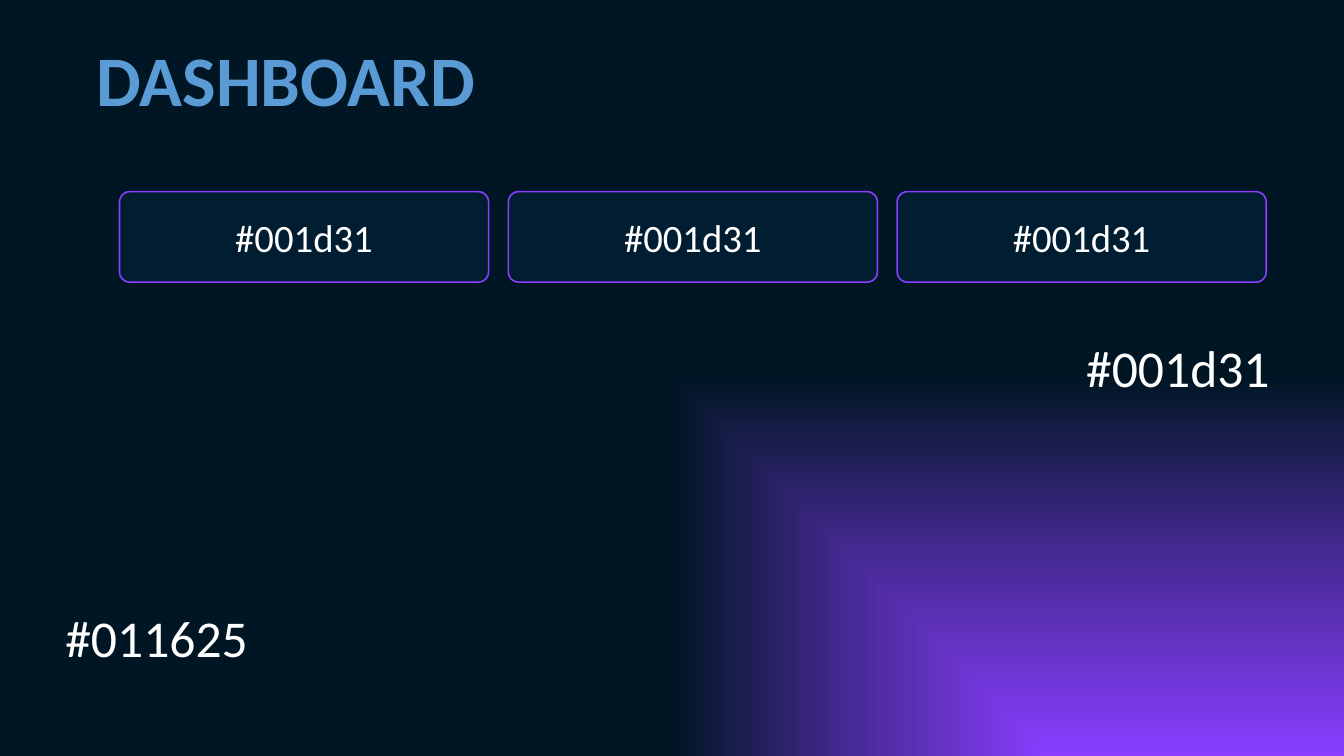
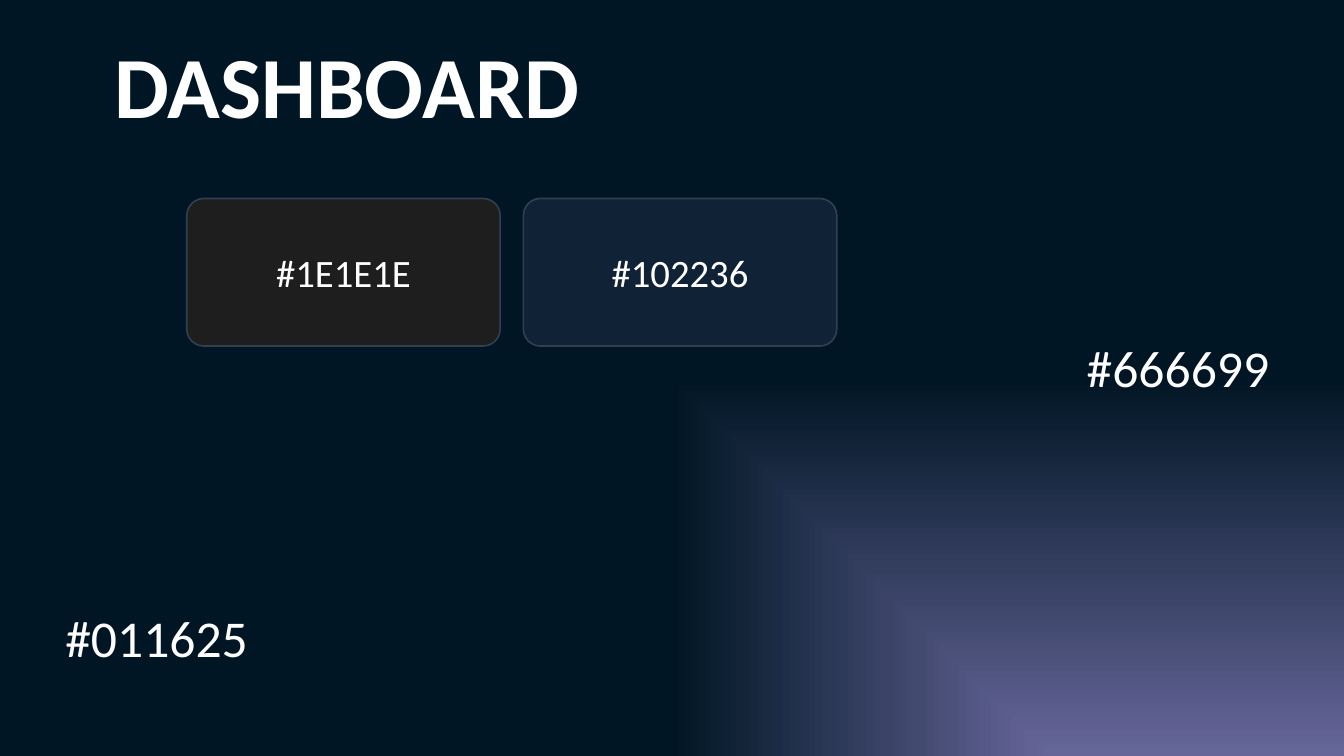
import dataclasses

import pptx
import pptx.dml.color
import pptx.enum.shapes
import pptx.enum.text
import pptx.oxml
import pptx.oxml.ns
import pptx.util

PX = 9144  # EMU per px, 100 px to the inch
SLIDE_W, SLIDE_H = 1158, 651


@dataclasses.dataclass(frozen=True)
class Theme:
    font: str = "Calibri"
    text: str = "FFFFFF"
    base: str = "011625"
    violet: str = "893EFF"
    deep_violet: str = "4A2B9A"
    lavender: str = "666699"
    navy: str = "001D31"
    charcoal: str = "1E1E1E"
    blue: str = "102236"
    slate: str = "333F50"
    title_blues: tuple = ((0, "1F4E79"), (50, "5B9BD5"), (100, "9DC3E6"))
    card_size: int = 24
    note_size: int = 32


THEME = Theme()


def px(*values):
    return [pptx.util.Emu(v * PX) for v in values]


def rgb(color):
    return pptx.dml.color.RGBColor.from_string(color)


def gradient(stops, direction):
    """Return a gradFill element; stops are (percent, colour) pairs."""
    gs = "".join(f'<a:gs pos="{pos * 1000}"><a:srgbClr val="{color}"/></a:gs>'
                 for pos, color in stops)
    return pptx.oxml.parse_xml(
        f'<a:gradFill {pptx.oxml.ns.nsdecls("a")} rotWithShape="1">'
        f'<a:gsLst>{gs}</a:gsLst>{direction}</a:gradFill>')


def set_background(s, stops):
    """Glow from the bottom right corner."""
    bg = pptx.oxml.parse_xml(
        f'<p:bg {pptx.oxml.ns.nsdecls("p", "a")}><p:bgPr><a:effectLst/></p:bgPr></p:bg>')
    corner = '<a:path path="rect"><a:fillToRect l="100000" t="100000"/></a:path>'
    bg[0].insert(0, gradient(stops, corner))
    s._element.cSld.insert(0, bg)


def write(tf, text, size, bold=False):
    """Fill the frame with one centred run and return the run."""
    tf.text = text
    p = tf.paragraphs[0]
    p.alignment = pptx.enum.text.PP_ALIGN.CENTER
    r = p.runs[0]
    r.font.name = THEME.font
    r.font.size = pptx.util.Pt(size)
    r.font.bold = bold
    return r


def add_box(s, box, text, size, radius, fill=None, line=None):
    sp = s.shapes.add_shape(pptx.enum.shapes.MSO_SHAPE.ROUNDED_RECTANGLE, *px(*box))
    sp.adjustments[0] = radius
    sp.shadow.inherit = False
    if fill:
        sp.fill.solid()
        sp.fill.fore_color.rgb = rgb(fill)
    else:
        sp.fill.background()
    if line:
        sp.line.color.rgb = rgb(line)
        sp.line.width = pptx.util.Pt(1)
    else:
        sp.line.fill.background()
    sp.text_frame.vertical_anchor = pptx.enum.text.MSO_ANCHOR.MIDDLE
    write(sp.text_frame, text, size).font.color.rgb = rgb(THEME.text)


def add_cards(s, first, gap, cards, line):
    """Lay out a row of (text, fill) cards starting at the first box."""
    left, top, width, height = first
    for i, (text, fill) in enumerate(cards):
        add_box(s, (left + i * (width + gap), top, width, height),
                text, THEME.card_size, 0.115, fill, line)


def add_notes(s, glow_text):
    for left, top, text in ((0, 514, "#011625"), (880, 282, glow_text)):
        add_box(s, (left, top, 270, 68), text, THEME.note_size, 0.2)


def add_title(s, box, size, stops=None):
    tf = s.shapes.add_textbox(*px(*box)).text_frame
    tf.word_wrap = False
    tf.auto_size = pptx.enum.text.MSO_AUTO_SIZE.SHAPE_TO_FIT_TEXT
    r = write(tf, "DASHBOARD", size, bold=True)
    if stops:
        r._r.get_or_add_rPr().insert(0, gradient(stops, '<a:lin ang="5400000" scaled="0"/>'))
    else:
        r.font.color.rgb = rgb(THEME.text)


def add_slide(prs, stops, glow_text):
    s = prs.slides.add_slide(prs.slide_layouts[6])
    set_background(s, stops)
    add_notes(s, glow_text)
    return s


def main():
    prs = pptx.Presentation()
    prs.slide_width, prs.slide_height = px(SLIDE_W, SLIDE_H)

    s = add_slide(prs, ((0, THEME.violet), (50, THEME.deep_violet), (100, THEME.base)),
                  "#001d31")
    add_cards(s, (103, 165, 318, 78), 17, [("#001d31", THEME.navy)] * 3, THEME.violet)
    add_title(s, (72, 26, 349, 84), 44, THEME.title_blues)

    s = add_slide(prs, ((0, THEME.lavender), (100, THEME.base)), "#666699")
    add_cards(s, (161, 171, 270, 127), 20,
              [("#1E1E1E", THEME.charcoal), ("#102236", THEME.blue)], THEME.slate)
    add_title(s, (87, 22, 424, 101), 54)

    prs.save("out.pptx")


if __name__ == "__main__":
    main()
